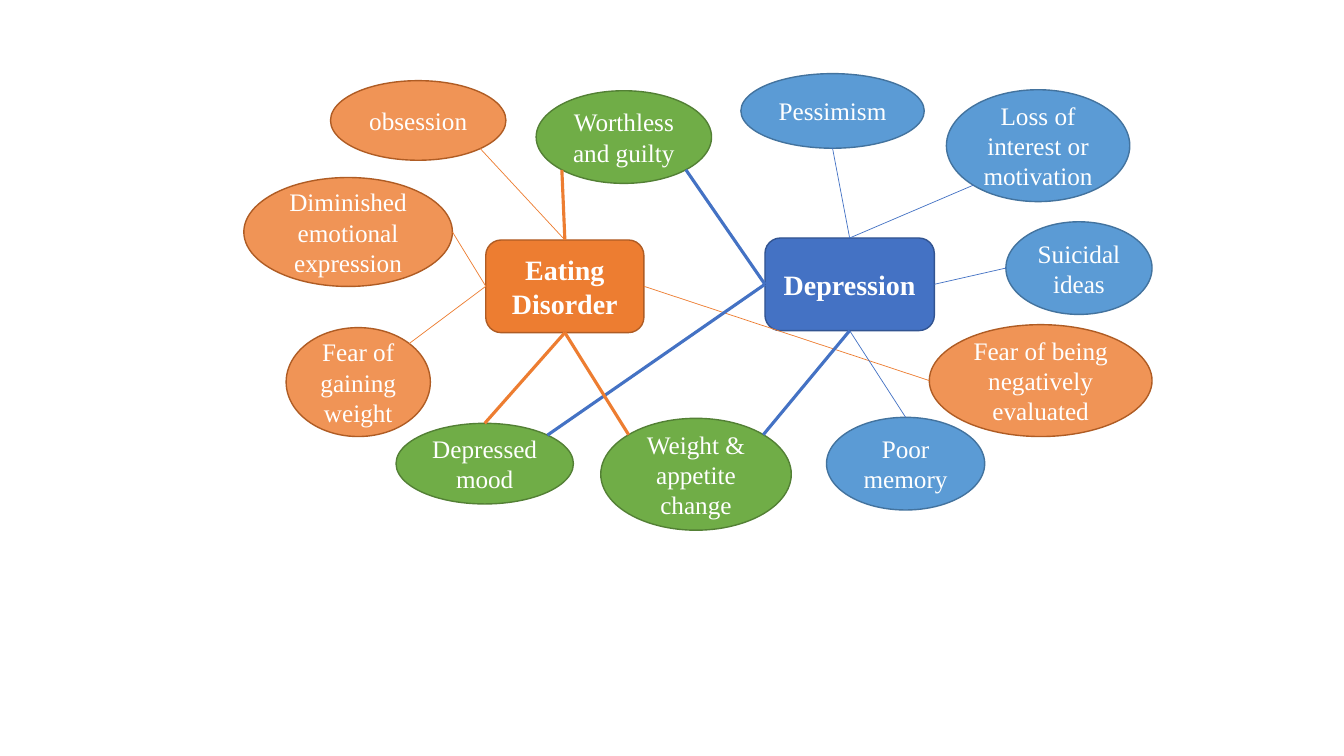
import math
from dataclasses import dataclass

import pptx
import pptx.dml.color
import pptx.enum.shapes
import pptx.enum.text
import pptx.oxml.ns
import pptx.util
from lxml import etree

Pt = pptx.util.Pt
SHAPE = pptx.enum.shapes.MSO_SHAPE


@dataclass(frozen=True)
class Theme:
    font: str = "Times New Roman"
    text: str = "FFFFFF"
    symptom_size: float = 18
    disorder_size: float = 20
    outline: float = 1
    thin: float = 0.5
    thick: float = 2.25
    eating: tuple = ("ED7D31", "AF5C24")
    depression: tuple = ("4472C4", "325491")
    eating_symptom: tuple = ("F09456", "AF5C24")
    depression_symptom: tuple = ("5B9BD5", "43739E")
    shared_symptom: tuple = ("70AD47", "538035")


THEME = Theme()
TOP, LEFT, BOTTOM, RIGHT = range(4)
(OVAL_TOP, OVAL_TOP_LEFT, OVAL_LEFT, OVAL_BOTTOM_LEFT,
 OVAL_BOTTOM, OVAL_BOTTOM_RIGHT, OVAL_RIGHT, OVAL_TOP_RIGHT) = range(8)

DISORDERS = {
    "Eating Disorder": ((172.8, 118.8, 113, 66.2), THEME.eating),
    "Depression": ((372.2, 117.4, 121, 66.2), THEME.depression),
}

SYMPTOMS = [
    ("obsession", (61.9, 5, 125.3, 56.9), THEME.eating_symptom,
     [("Eating Disorder", TOP, OVAL_BOTTOM_RIGHT)]),
    ("Diminished emotional expression", (0, 74.2, 149, 77.8), THEME.eating_symptom,
     [("Eating Disorder", LEFT, OVAL_RIGHT)]),
    ("Fear of gaining weight", (30.2, 181.4, 103, 77.8), THEME.eating_symptom,
     [("Eating Disorder", LEFT, OVAL_TOP_RIGHT)]),
    ("Fear of being negatively evaluated", (489.6, 179.3, 159.1, 79.9), THEME.eating_symptom,
     [("Eating Disorder", RIGHT, OVAL_LEFT)]),
    ("Worthless and guilty", (208.8, 12.2, 125.3, 66.2), THEME.shared_symptom,
     [("Eating Disorder", TOP, OVAL_BOTTOM_LEFT), ("Depression", LEFT, OVAL_BOTTOM_RIGHT)]),
    ("Depressed mood", (108.7, 249.8, 126.7, 57.6), THEME.shared_symptom,
     [("Eating Disorder", BOTTOM, OVAL_TOP), ("Depression", LEFT, OVAL_TOP_RIGHT)]),
    ("Weight & appetite change", (254.9, 246.2, 136.1, 79.9), THEME.shared_symptom,
     [("Eating Disorder", BOTTOM, OVAL_TOP_LEFT), ("Depression", BOTTOM, OVAL_TOP_RIGHT)]),
    ("Pessimism", (355, 0, 131, 53.3), THEME.depression_symptom,
     [("Depression", TOP, OVAL_BOTTOM)]),
    ("Loss of interest or motivation", (501.8, 11.5, 131, 79.9), THEME.depression_symptom,
     [("Depression", TOP, OVAL_BOTTOM_LEFT)]),
    ("Suicidal ideas", (544.3, 105.8, 104.4, 66.2), THEME.depression_symptom,
     [("Depression", RIGHT, OVAL_LEFT)]),
    ("Poor memory", (416.2, 245.5, 113, 66.2), THEME.depression_symptom,
     [("Depression", BOTTOM, OVAL_TOP)]),
]


def rgb(value):
    return pptx.dml.color.RGBColor.from_string(value)


def add_node(s, kind, text, box, origin, colors, size, bold=False):
    x, y, w, h = box
    sp = s.shapes.add_shape(kind, Pt(origin[0] + x), Pt(origin[1] + y), Pt(w), Pt(h))
    sp.shadow.inherit = False
    fill, line = colors
    sp.fill.solid()
    sp.fill.fore_color.rgb = rgb(fill)
    sp.line.color.rgb = rgb(line)
    sp.line.width = Pt(THEME.outline)
    tf = sp.text_frame
    tf.word_wrap = True
    tf.vertical_anchor = pptx.enum.text.MSO_ANCHOR.MIDDLE
    p = tf.paragraphs[0]
    p.text = text
    p.alignment = pptx.enum.text.PP_ALIGN.CENTER
    p.font.name = THEME.font
    p.font.size = Pt(size)
    p.font.bold = bold
    p.font.color.rgb = rgb(THEME.text)
    return sp


def oval_point(oval, site):
    angle = site * math.pi / 4
    x = oval.left + oval.width / 2 * (1 - math.sin(angle))
    y = oval.top + oval.height / 2 * (1 - math.cos(angle))
    return round(x), round(y)


def add_link(s, disorder, site, oval, oval_site, color, width):
    end_x, end_y = oval_point(oval, oval_site)
    cxn = s.shapes.add_connector(
        pptx.enum.shapes.MSO_CONNECTOR.STRAIGHT, disorder.left, disorder.top, end_x, end_y)
    cxn.begin_connect(disorder, site)
    end = cxn._element.nvCxnSpPr.cNvCxnSpPr.get_or_add_endCxn()
    end.id, end.idx = oval.shape_id, oval_site
    cxn.line.color.rgb = rgb(color)
    cxn.line.width = Pt(width)
    etree.SubElement(cxn._element.spPr, pptx.oxml.ns.qn("a:effectLst"))


def add_symptom_map(s, left, top):
    origin = (left, top)
    disorders = {
        name: add_node(s, SHAPE.FLOWCHART_ALTERNATE_PROCESS, name, box, origin,
                       colors, THEME.disorder_size, True)
        for name, (box, colors) in DISORDERS.items()
    }
    ovals = [add_node(s, SHAPE.OVAL, text, box, origin, colors, THEME.symptom_size)
             for text, box, colors, links in SYMPTOMS]
    for oval, (text, box, colors, links) in zip(ovals, SYMPTOMS):
        width = THEME.thick if len(links) > 1 else THEME.thin
        for name, site, oval_site in links:
            line_color = DISORDERS[name][1][0]
            add_link(s, disorders[name], site, oval, oval_site, line_color, width)


def main():
    prs = pptx.Presentation()
    prs.slide_width, prs.slide_height = Pt(960), Pt(540)
    s = prs.slides.add_slide(prs.slide_layouts[6])
    add_symptom_map(s, 174.2, 52.6)
    prs.save("out.pptx")


if __name__ == "__main__":
    main()
